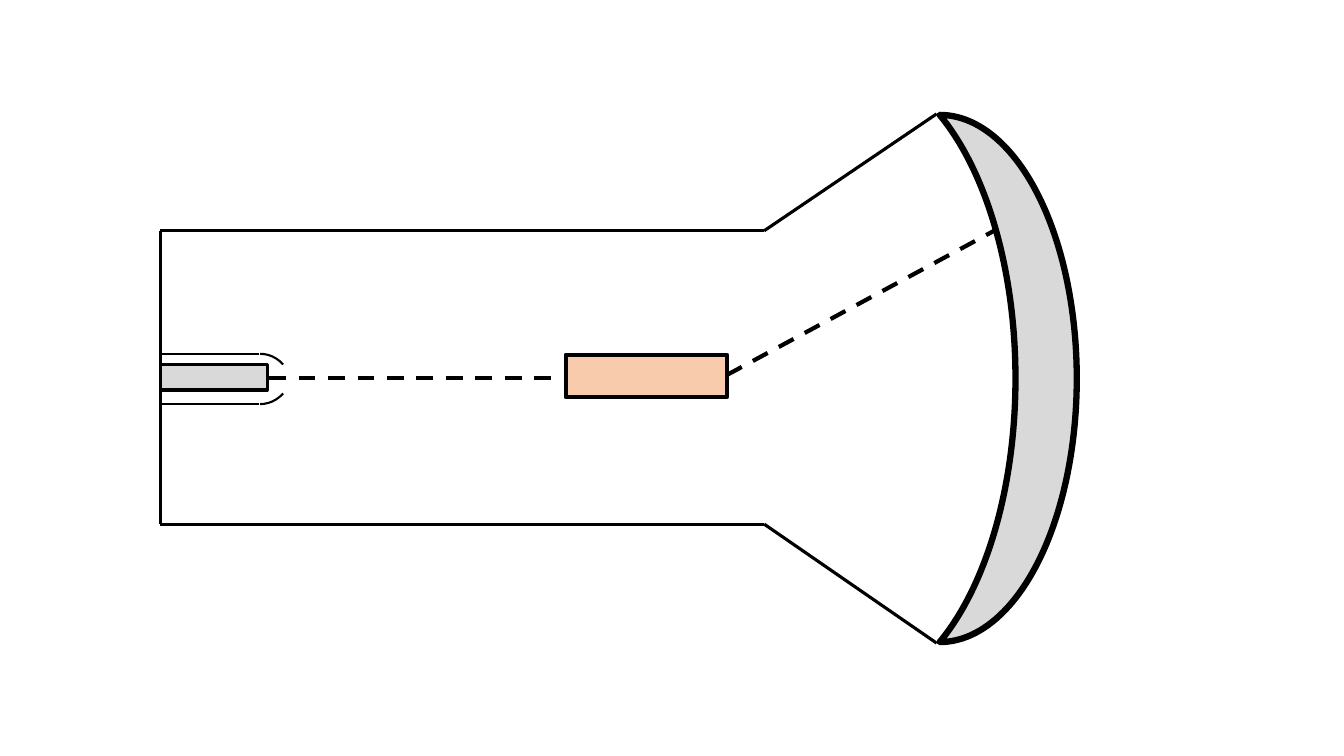
from lxml.etree import SubElement as Sub
from pptx import Presentation
from pptx.dml.color import RGBColor as Rgb
from pptx.enum.dml import MSO_LINE as Dash
from pptx.enum.shapes import MSO_CONNECTOR as Conn, MSO_SHAPE as Kind
from pptx.oxml.ns import qn
from pptx.util import Inches, Pt

WIDE, HIGH = Inches(13.33), Inches(7.5)
COL, ROW = WIDE / 100, HIGH / 100
HUE = {"ink": "000000", "grey": "D9D9D9", "peach": "F8CBAD"}

BACK, NECK, RIM = 11.93, 56.86, 69.69
TOP, BASE, MID = 30.53, 69.33, 50
CUP = 19.28


def cols(n):
    return round(n * COL)


def rows(n):
    return round(n * ROW)


def tint(name):
    return Rgb.from_string(HUE[name])


def ink(line, size, dash=False):
    line.color.rgb = tint("ink")
    line.width = Pt(size)
    if dash:
        line.dash_style = Dash.DASH


def draw(slide, start, end, size=2.25, dash=False):
    link = slide.shapes.add_connector(
        Conn.STRAIGHT, cols(start[0]), rows(start[1]), cols(end[0]), rows(end[1]))
    ink(link.line, size, dash)
    Sub(link._element.spPr, qn("a:effectLst"))


def form(slide, kind, box, size, fill=None, adj=(), flip=None):
    x, y, w, h = box
    shape = slide.shapes.add_shape(kind, cols(x), rows(y), cols(w), rows(h))
    shape.shadow.inherit = False
    for i, value in enumerate(adj):
        shape.adjustments[i] = value
    if fill:
        shape.fill.solid()
        shape.fill.fore_color.rgb = tint(fill)
    else:
        shape.fill.background()
    ink(shape.line, size)
    if flip:
        shape._element.spPr.find(qn("a:xfrm")).set(flip, "1")


def tube(slide):
    draw(slide, (BACK, TOP), (BACK, BASE))
    for wall, edge in ((TOP, 15.07), (BASE, 85.07)):
        draw(slide, (NECK, wall), (BACK, wall))
        draw(slide, (RIM, edge), (NECK, wall))


def gun(slide):
    for side, top, flip in ((46.8, 46.8, None), (53.47, 44.13, "flipV")):
        draw(slide, (CUP, side), (BACK, side), 1.5)
        form(slide, Kind.ARC, (16.95, top, 4.8, 9.33), 1.5,
             adj=(162, 187.866), flip=flip)
    form(slide, Kind.RECTANGLE, (BACK, 48.27, 7.95, 3.33), 2.25, "grey")


def main():
    deck = Presentation()
    deck.slide_width, deck.slide_height = WIDE, HIGH
    slide = deck.slides.add_slide(deck.slide_layouts[6])
    tube(slide)
    draw(slide, (20.03, MID), (53.34, MID), 3, True)
    gun(slide)
    form(slide, Kind.RECTANGLE, (42.09, 46.93, 12, 5.6), 3, "peach")
    form(slide, Kind.MOON, (69.92, 15.2, 10.2, 69.73), 4.5, "grey",
         adj=(0.447,), flip="flipH")
    draw(slide, (54.09, 49.6), (73.97, TOP), 3, True)
    deck.save("out.pptx")


if __name__ == "__main__":
    main()
